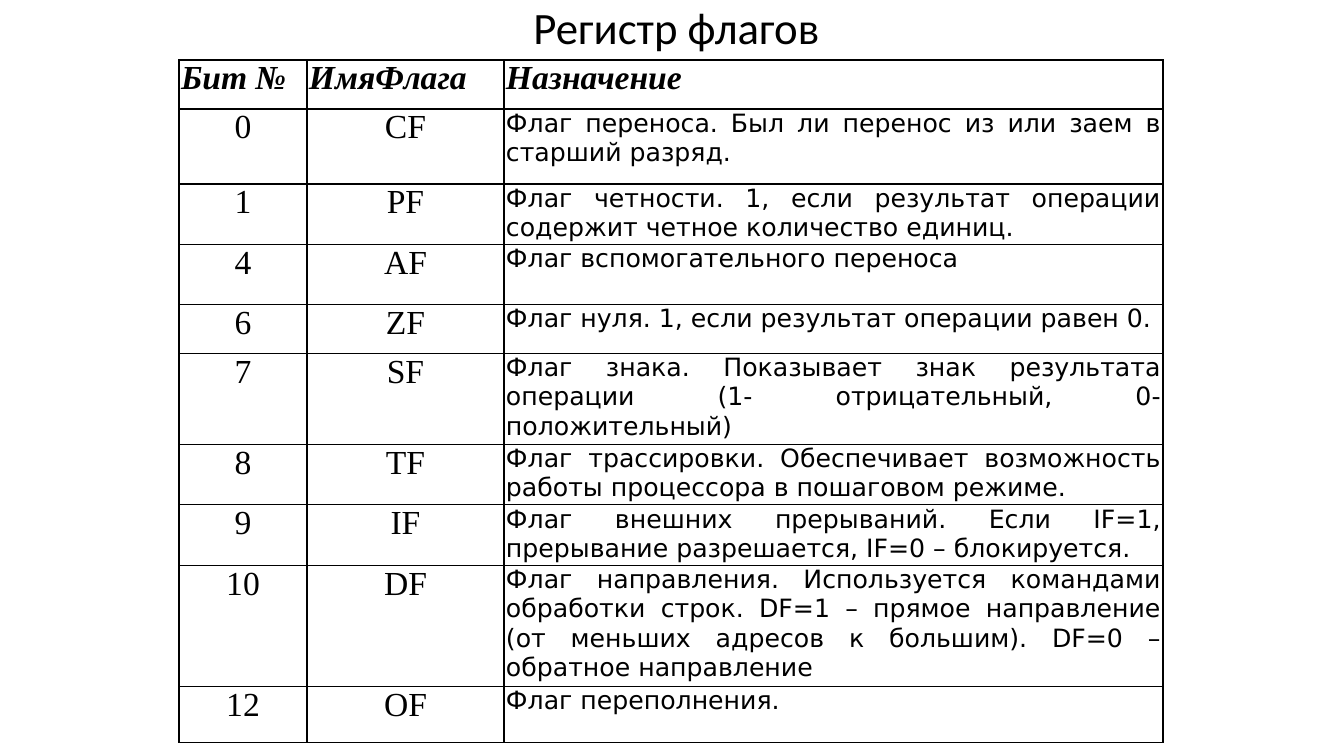
"""Build a slide with a table of the processor flag register."""
from lxml import etree
from pptx import Presentation
from pptx.dml.color import RGBColor
from pptx.enum.text import MSO_ANCHOR, PP_ALIGN
from pptx.oxml.ns import qn
from pptx.util import Pt

CENTER, JUSTIFY = PP_ALIGN.CENTER, PP_ALIGN.JUSTIFY
MIDDLE = MSO_ANCHOR.MIDDLE
PX = 914400 / 100.8
THEME = {
    "ink": "000000",
    "line": Pt(1),
    "title": ("Calibri", 32),
    "mark": ("Times New Roman", 24),
    "note": ("DejaVu Sans", 18),
}
HEADS = ("Бит №", "ИмяФлага", "Назначение")
FLAGS = (
    ("0", "CF", "Флаг переноса. Был ли перенос из или заем в старший разряд."),
    ("1", "PF", "Флаг четности. 1, если результат операции содержит четное количество единиц."),
    ("4", "AF", "Флаг вспомогательного переноса"),
    ("6", "ZF", "Флаг нуля. 1, если результат операции равен 0."),
    ("7", "SF", "Флаг знака. Показывает знак результата операции (1- отрицательный, 0-положительный)"),
    ("8", "TF", "Флаг трассировки. Обеспечивает возможность работы процессора в пошаговом режиме."),
    ("9", "IF", "Флаг внешних прерываний. Если IF=1, прерывание разрешается, IF=0 – блокируется."),
    ("10", "DF", "Флаг направления. Используется командами обработки строк. DF=1 – прямое направление "
                 "(от меньших адресов к большим). DF=0 – обратное направление"),
    ("12", "OF", "Флаг переполнения. "),
)
WIDTHS = (128, 197, 659)
HEIGHTS = (49, 75, 58, 60, 49, 88, 58, 58, 117, 56)


def px(*sizes):
    return [round(size * PX) for size in sizes]


def write(frame, text, style, align, bold=False):
    frame.text = text
    para = frame.paragraphs[0]
    para.alignment = align
    font = para.runs[0].font
    font.name, size = THEME[style]
    font.size = Pt(size)
    font.bold = font.italic = bold
    font.color.rgb = RGBColor.from_string(THEME["ink"])


deck = Presentation()
deck.slide_width, deck.slide_height = px(1344, 756)
slide = deck.slides.add_slide(deck.slide_layouts[6])

title = slide.shapes.add_textbox(*px(223, 0, 907, 60)).text_frame
title.word_wrap = True
title.vertical_anchor = MIDDLE
write(title, "Регистр флагов", "title", CENTER)
title.paragraphs[0].line_spacing = 0.9

rows = (HEADS,) + FLAGS
table = slide.shapes.add_table(
    len(rows), len(HEADS), *px(179, 60, sum(WIDTHS), sum(HEIGHTS))
).table
table.first_row = table.horz_banding = False
for column, width in zip(table.columns, px(*WIDTHS)):
    column.width = width
for row, height in zip(table.rows, px(*HEIGHTS)):
    row.height = height

for r, texts in enumerate(rows):
    for c, text in enumerate(texts):
        cell = table.cell(r, c)
        cell.margin_left, cell.margin_right = px(2, 2)
        cell.margin_top = cell.margin_bottom = 0
        head, note = r == 0, c == 2
        style = "note" if note and not head else "mark"
        align = JUSTIFY if head or note else CENTER
        write(cell.text_frame, text, style, align, head)
        props = cell._tc.get_or_add_tcPr()
        for side in ("a:lnL", "a:lnR", "a:lnT", "a:lnB"):
            line = etree.SubElement(props, qn(side), w=str(THEME["line"]))
            fill = etree.SubElement(line, qn("a:solidFill"))
            etree.SubElement(fill, qn("a:srgbClr"), val=THEME["ink"])
        cell.fill.background()

deck.save("out.pptx")
